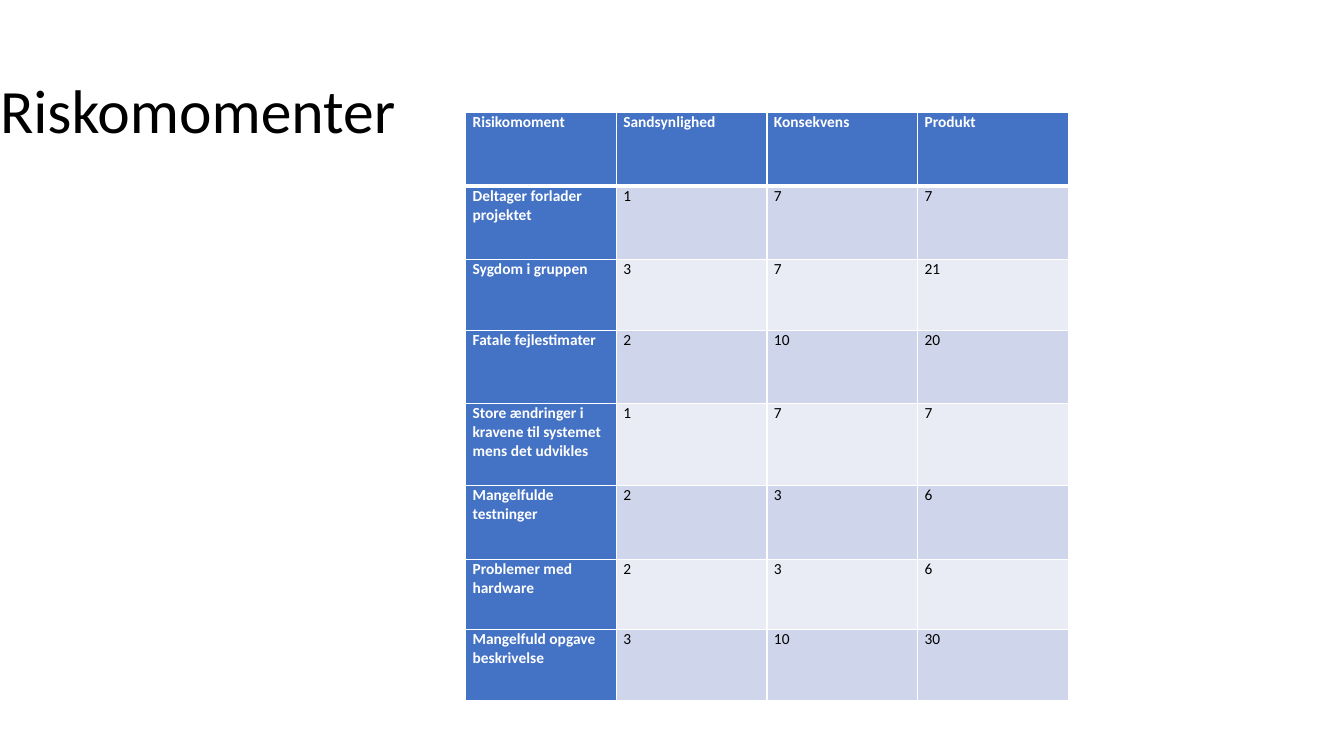
from dataclasses import dataclass

from lxml import etree
from pptx import Presentation
from pptx import util as u
from pptx.dml import color
from pptx.enum import text
from pptx.oxml import ns


@dataclass(frozen=True)
class Theme:
    font: str = "Calibri"
    head: int = 44
    body: int = 11
    dark: str = "000000"
    light: str = "FFFFFF"
    main: str = "4472C4"
    bands: tuple = ("E9EBF5", "CFD5EA")


class Deck:
    def __init__(self, theme):
        self.theme = theme
        self.prs = Presentation()
        self.prs.slide_width = u.Pt(960)
        self.prs.slide_height = u.Pt(540)
        self.slide = self.prs.slides.add_slide(self.prs.slide_layouts[5])

    def style(self, para, size, tone, bold=False):
        para.font.name = self.theme.font
        para.font.size = u.Pt(size)
        para.font.bold = bold
        para.font.color.rgb = color.RGBColor.from_string(tone)

    def title(self, words, left, top, width, height):
        box = self.slide.shapes.title
        box.left, box.top = u.Pt(left), u.Pt(top)
        box.width, box.height = u.Pt(width), u.Pt(height)
        frame = box.text_frame
        frame.text = words
        frame.auto_size = text.MSO_AUTO_SIZE.NONE
        frame.vertical_anchor = text.MSO_ANCHOR.MIDDLE
        para = frame.paragraphs[0]
        para.alignment = text.PP_ALIGN.LEFT
        para.line_spacing = 0.9
        self.style(para, self.theme.head, self.theme.dark)

    def edge(self, cell, side, width):
        line = etree.SubElement(cell._tc.get_or_add_tcPr(), ns.qn("a:ln" + side))
        line.set("w", str(u.Pt(width)))
        fill = etree.SubElement(line, ns.qn("a:solidFill"))
        etree.SubElement(fill, ns.qn("a:srgbClr")).set("val", self.theme.light)

    def cell(self, cell, words, row, col):
        theme = self.theme
        label = row == 0 or col == 0
        cell.text = str(words)
        cell.margin_left = cell.margin_right = u.Pt(5)
        cell.margin_top = cell.margin_bottom = 0
        for side in "LRTB":
            heavy = (row, side) in ((0, "B"), (1, "T"))
            self.edge(cell, side, 3 if heavy else 1)
        cell.fill.solid()
        tone = theme.main if label else theme.bands[row % 2]
        cell.fill.fore_color.rgb = color.RGBColor.from_string(tone)
        ink = theme.light if label else theme.dark
        self.style(cell.text_frame.paragraphs[0], theme.body, ink, label)

    def table(self, rows, left, top, width, heights):
        count = len(rows[0])
        frame = self.slide.shapes.add_table(
            len(rows), count, u.Pt(left), u.Pt(top), u.Pt(width), u.Pt(sum(heights)))
        grid = frame.table
        grid.first_col = True
        for col in grid.columns:
            col.width = u.Pt(width / count)
        for r, (row, height) in enumerate(zip(rows, heights)):
            grid.rows[r].height = u.Pt(height)
            for c, words in enumerate(row):
                self.cell(grid.cell(r, c), words, r, c)


def main():
    heads = ("Risikomoment", "Sandsynlighed", "Konsekvens", "Produkt")
    risks = (
        ("Deltager forlader projektet", 1, 7),
        ("Sygdom i gruppen", 3, 7),
        ("Fatale fejlestimater", 2, 10),
        ("Store ændringer i kravene til systemet mens det udvikles", 1, 7),
        ("Mangelfulde testninger", 2, 3),
        ("Problemer med hardware", 2, 3),
        ("Mangelfuld opgave beskrivelse", 3, 10),
    )
    rows = [heads] + [(name, odds, cost, odds * cost) for name, odds, cost in risks]
    tall, short, large = 52.5, 50.4, 58.5
    heights = (tall, tall, short, tall, large, tall, short, short)

    deck = Deck(Theme())
    deck.title("Riskomomenter", -7.2, 28.8, 828, 104.4)
    deck.table(rows, 332.6, 80.6, 430.6, heights)
    deck.prs.save("out.pptx")


if __name__ == "__main__":
    main()
